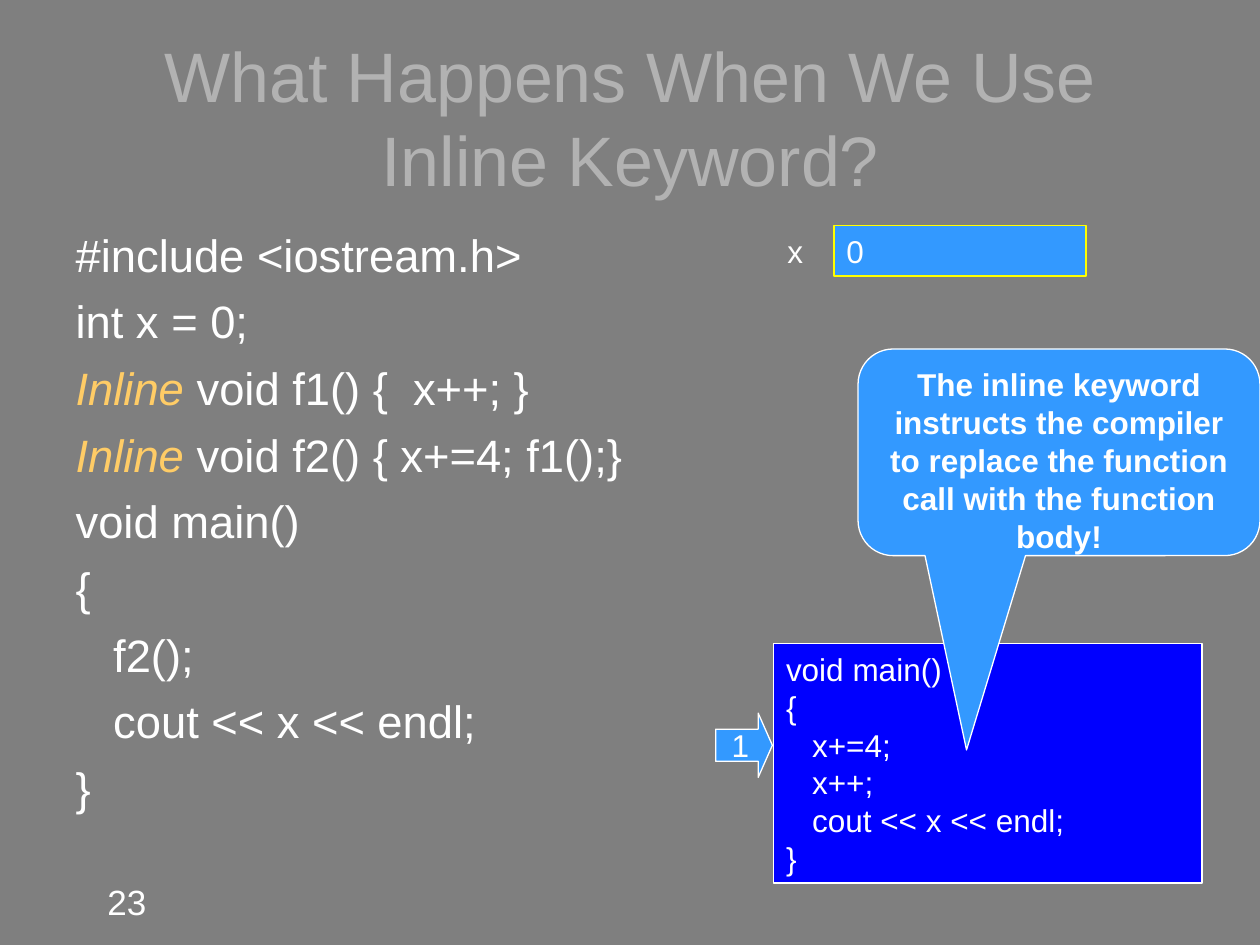
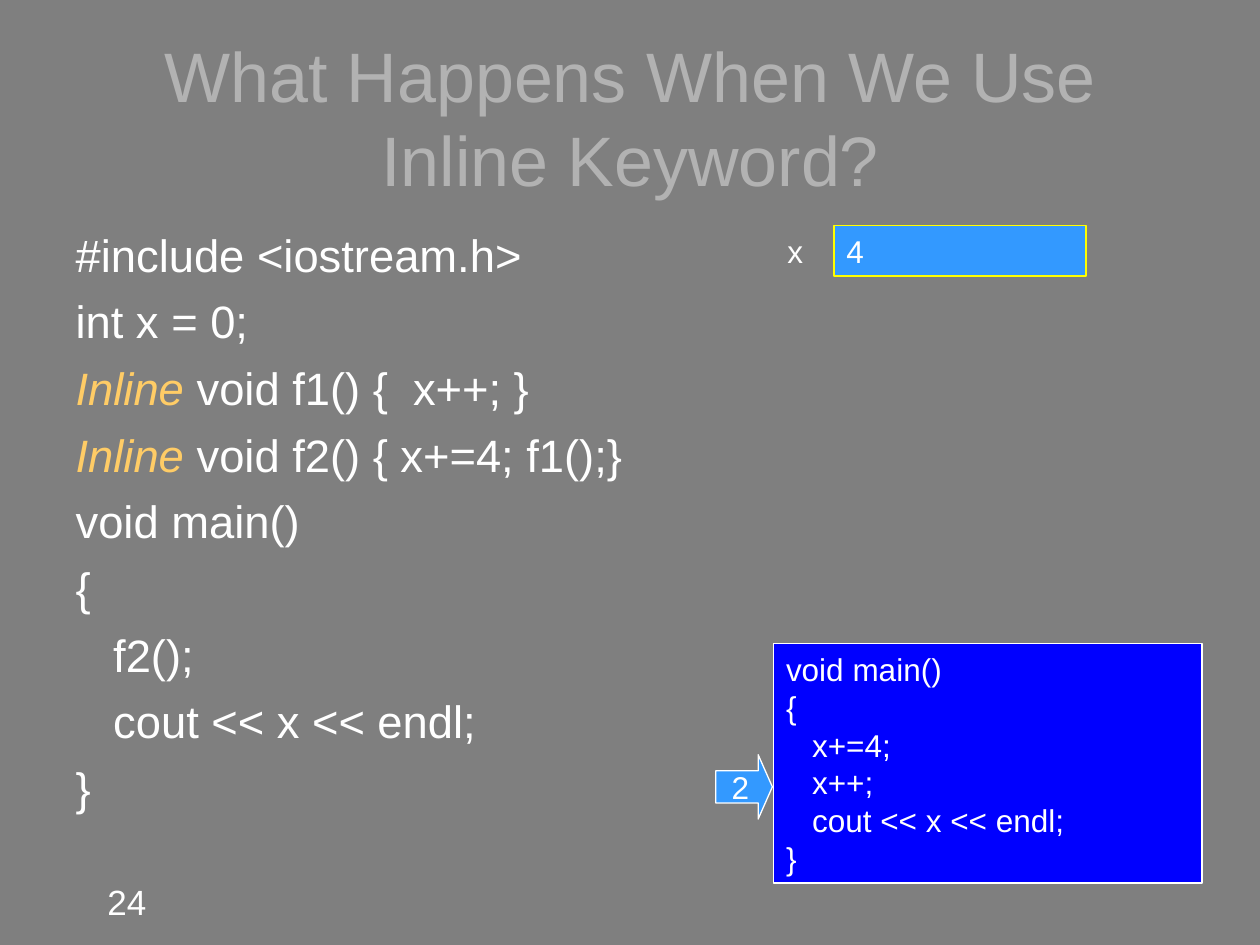
"""Build two slides that step through inlined function calls."""
from dataclasses import dataclass

from lxml import etree
from pptx import Presentation
from pptx.dml.color import RGBColor
from pptx.enum import shapes, text
from pptx.oxml import ns
from pptx.util import Inches, Pt


@dataclass(frozen=True)
class Theme:
    font: str = "Arial"
    background: str = "7F7F7F"
    title: str = "B2B2B2"
    ink: str = "FFFFFF"
    keyword: str = "FFCC66"
    accent: str = "3399FF"
    panel: str = "0000FF"
    variable_line: str = "FFFF00"
    title_size: float = 40
    code_size: float = 25.9
    label_size: float = 18
    number_size: float = 20


TITLE = "What Happens When We Use Inline Keyword?"
KEYWORD = "Inline"
SOURCE_CODE = [
    "#include <iostream.h>", "int x = 0;",
    "Inline void f1() {  x++; }", "Inline void f2() { x+=4; f1();}",
    "void main()", "{", "\tf2();", "\tcout << x << endl;", "}",
]
EXPANDED_CODE = ["void main()", "{", "\tx+=4;", "\tx++;", "\tcout << x << endl;", "}"]
CALLOUT = ("The inline keyword instructs the compiler to replace "
           "the function call with the function body!")
STEPS = [(23, 1, "0", CALLOUT), (24, 2, "4", None)]


class Deck:
    """Hold the theme, the presentation and the current slide."""

    def __init__(self, theme):
        self.theme = theme
        self.prs = Presentation()
        self.prs.slide_width, self.prs.slide_height = Inches(10), Inches(7.5)
        fill = self.prs.slide_master.background.fill
        fill.solid()
        fill.fore_color.rgb = RGBColor.from_string(theme.background)
        self.s = None

    def new_slide(self):
        self.s = self.prs.slides.add_slide(self.prs.slide_layouts[1])

    def place(self, sp, box):
        sp.left, sp.top, sp.width, sp.height = map(Inches, box)

    def style(self, r, size, color=None, bold=False, italic=False):
        r.font.name = self.theme.font
        r.font.size = Pt(size)
        r.font.bold, r.font.italic = bold, italic
        r.font.color.rgb = RGBColor.from_string(color or self.theme.ink)

    def set_text(self, tf, lines, size, color=None, bold=False,
                 align=text.PP_ALIGN.LEFT, anchor=text.MSO_ANCHOR.TOP, wrap=True):
        tf.auto_size = text.MSO_AUTO_SIZE.NONE
        tf.word_wrap, tf.vertical_anchor = wrap, anchor
        tf.text = "\n".join(line.lstrip("\t") for line in lines)
        for p, line in zip(tf.paragraphs, lines):
            p.alignment = align
            if line.startswith("\t"):
                p._p.get_or_add_pPr().set("marL", str(Pt(size * 0.83)))
            for r in p.runs:
                self.style(r, size, color, bold)

    def title(self, words):
        sp = self.s.shapes.title
        self.place(sp, (0.5, 0.3, 9, 1.25))
        self.set_text(sp.text_frame, [words], self.theme.title_size, self.theme.title,
                      align=text.PP_ALIGN.CENTER, anchor=text.MSO_ANCHOR.MIDDLE)

    def source_code(self, lines):
        sp = self.s.placeholders[1]
        self.place(sp, (0.5, 1.75, 5.01, 4.95))
        size = self.theme.code_size
        self.set_text(sp.text_frame, lines, size)
        for p in sp.text_frame.paragraphs:
            p.space_before = Pt(7)
            pPr = p._p.get_or_add_pPr()
            pPr.set("marL", pPr.get("marL", "0"))
            pPr.set("indent", "0")
            etree.SubElement(pPr, ns.qn("a:buNone"))
            if p.text.startswith(KEYWORD):
                rest = p.text[len(KEYWORD):]
                p.runs[0].text = KEYWORD
                self.style(p.runs[0], size, self.theme.keyword, italic=True)
                r = p.add_run()
                r.text = rest
                self.style(r, size)

    def label(self, words, box, size, **layout):
        sp = self.s.shapes.add_textbox(*map(Inches, box))
        self.set_text(sp.text_frame, [words], size, **layout)

    def shape(self, kind, lines, box, fill, line=None, adjust=(), **layout):
        sp = self.s.shapes.add_shape(kind, *map(Inches, box))
        sp.shadow.inherit = False
        sp.fill.solid()
        sp.fill.fore_color.rgb = RGBColor.from_string(fill)
        sp.line.color.rgb = RGBColor.from_string(line or self.theme.ink)
        sp.line.width = Pt(0.75)
        for i, value in enumerate(adjust):
            sp.adjustments[i] = value
        self.set_text(sp.text_frame, lines, self.theme.label_size, **layout)

    def step(self, number, step, value, callout):
        theme, kinds, center = self.theme, shapes.MSO_SHAPE, text.PP_ALIGN.CENTER
        self.new_slide()
        self.label(str(number), (0.56, 6.94, 0.7, 0.39), theme.number_size,
                   align=text.PP_ALIGN.RIGHT)
        self.title(TITLE)
        self.source_code(SOURCE_CODE)
        self.shape(kinds.RECTANGLE, [value], (6.62, 1.79, 2, 0.4),
                   theme.accent, theme.variable_line)
        self.label("x", (6.15, 1.79, 0.36, 0.4), theme.label_size)
        self.shape(kinds.RECTANGLE, EXPANDED_CODE, (6.14, 5.11, 3.4, 1.9), theme.panel)
        self.shape(kinds.RIGHT_ARROW, [str(step)], (5.68, 5.33 + 0.33 * step, 0.45, 0.51),
                   theme.accent, adjust=(0.5, 0.25), align=center,
                   anchor=text.MSO_ANCHOR.MIDDLE, wrap=False)
        if callout:
            self.shape(kinds.ROUNDED_RECTANGULAR_CALLOUT, [callout],
                       (6.81, 2.77, 3.19, 1.64), theme.accent,
                       adjust=(-0.23, 1.44, 0.17), align=center, bold=True)


def main():
    deck = Deck(Theme())
    for step in STEPS:
        deck.step(*step)
    deck.prs.save("out.pptx")


if __name__ == "__main__":
    main()
